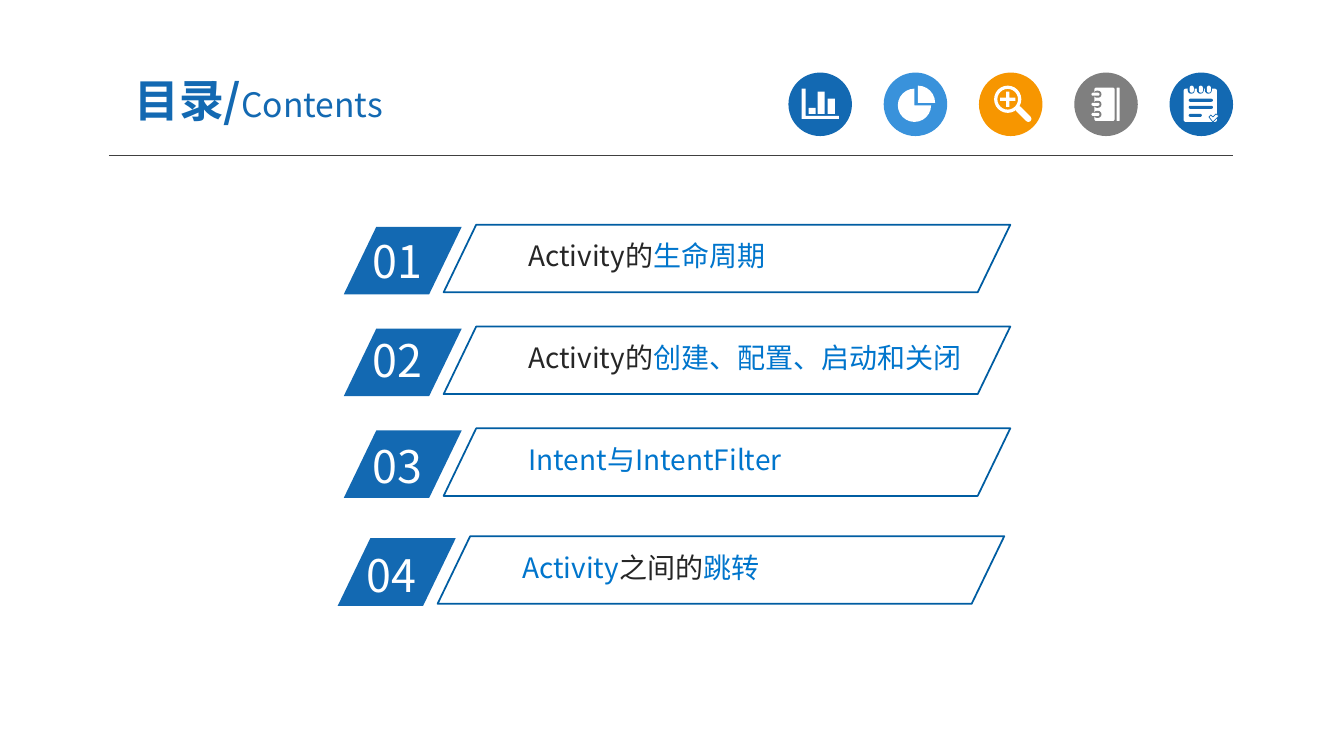
from lxml import etree
from pptx import Presentation
from pptx.dml.color import RGBColor
from pptx.enum import shapes, text
from pptx.oxml.ns import qn
from pptx.util import Inches, Pt

FONT = "Noto Sans CJK SC"
COLORS = {"blue": "1369B2", "sky": "3992DB", "orange": "F79600", "gray": "7F7F7F",
          "white": "FFFFFF", "rule": "404040", "frame": "005DA2",
          "dark": "262626", "accent": "0075CC"}
TITLE = [("目录/", 32, True), ("Contents", 24, False)]
ITEMS = [
    ("01", 3.41, 2.25, 0.02, 4.12, [("Activity的", "dark"), ("生命周期", "accent")]),
    ("02", 3.41, 3.26, -0.01, 4.57, [("Activity的", "dark"), ("创建、配置、启动和关闭", "accent")]),
    ("03", 3.41, 4.27, 0.03, 4.12, [("Intent与IntentFilter", "accent")]),
    ("04", 3.35, 5.34, 0.04, 4.12,
     [("Activity", "accent"), ("之间的", "dark"), ("跳转", "accent")]),
]
M = shapes.MSO_SHAPE
ROUND = M.ROUNDED_RECTANGLE
AXES = [(0.13, 0.16), (0.17, 0.16), (0.17, 0.43), (0.5, 0.43), (0.5, 0.46), (0.13, 0.46)]
BARS = [[(x, y), (x + 0.07, y), (x + 0.07, 0.41), (x, 0.41)]
        for x, y in ((0.2, 0.35), (0.29, 0.19), (0.39, 0.26))]
CHECK = [(0.39, 0.44), (0.41, 0.42), (0.43, 0.44), (0.46, 0.41), (0.49, 0.43), (0.43, 0.49)]
PIE_CHART = [(M.PIE, 0.14, 0.16, 0.33, 0.33, "white", [0, 162]),
             (M.PIE, 0.17, 0.13, 0.34, 0.34, "white", [162, 0])]
MAGNIFIER = [(M.DONUT, 0.15, 0.13, 0.27, 0.27, "white", [0.12]),
             (M.CROSS, 0.21, 0.19, 0.15, 0.15, "white", [0.4]),
             (ROUND, 0.34, 0.38, 0.2, 0.06, "white", [0.5])]
NOTEBOOK = [(ROUND, 0.2, 0.15, 0.2, 0.33, "white", [0.08]),
            (ROUND, 0.42, 0.15, 0.03, 0.33, "white", [0.2])]
for y in (0.21, 0.31, 0.41):
    NOTEBOOK += [(ROUND, 0.19, y - 0.03, 0.08, 0.07, "gray", [0.5]),
                 (ROUND, 0.17, y - 0.01, 0.08, 0.03, "white", [0.5])]
NOTEPAD = [(ROUND, 0.14, 0.16, 0.33, 0.33, "white", [0.06])]
for x in (0.22, 0.31, 0.39):
    NOTEPAD += [(ROUND, x - 0.04, 0.13, 0.07, 0.08, "blue", [0.5]),
                (ROUND, x - 0.02, 0.13, 0.04, 0.07, "white", [0.5])]
for y, w in ((0.26, 0.24), (0.33, 0.24), (0.41, 0.13)):
    NOTEPAD.append((ROUND, 0.19, y, w, 0.03, "blue", [0.5]))
ICONS = [("blue", [], [AXES] + BARS, None), ("sky", PIE_CHART, [], None),
         ("orange", MAGNIFIER, [], None), ("gray", NOTEBOOK, [], None),
         ("blue", NOTEPAD, [CHECK], "blue")]
ICON_LEFT, ICON_TOP, ICON_SIZE, ICON_STEP = 7.82, 0.72, 0.63, 0.945


def rgb(name):
    return RGBColor.from_string(COLORS[name])


def add_run(p, words, size, color, bold=False):
    r = p.add_run()
    r.text = words
    r.font.size = Pt(size)
    r.font.bold = bold
    r.font.name = FONT
    r.font.color.rgb = rgb(color)
    ea = etree.SubElement(r._r.get_or_add_rPr(), qn("a:ea"))
    ea.set("typeface", FONT)


def style(sp, fill, line, width=1.25):
    sp.shadow.inherit = False
    if fill:
        sp.fill.solid()
        sp.fill.fore_color.rgb = rgb(fill)
    else:
        sp.fill.background()
    if line:
        sp.line.color.rgb = rgb(line)
        sp.line.width = Pt(width)
    else:
        sp.line.fill.background()


def add_shape(parent, kind, box, fill=None, line=None, adj=()):
    sp = parent.shapes.add_shape(kind, *map(Inches, box))
    style(sp, fill, line)
    for i, value in enumerate(adj):
        sp.adjustments[i] = value
    return sp


def add_outline(parent, left, top, outlines, line):
    contours = [[(Inches(left + x), Inches(top + y)) for x, y in points] for points in outlines]
    builder = parent.shapes.build_freeform(*contours[0][0])
    for i, points in enumerate(contours):
        if i:
            builder.move_to(*points[0])
        builder.add_line_segments(points[1:], close=True)
    style(builder.convert_to_shape(), "white", line, 0.5)


def add_text(s, box, runs, size, inset):
    tf = s.shapes.add_textbox(*map(Inches, box)).text_frame
    tf.word_wrap = True
    tf.margin_left = tf.margin_right = Inches(inset[0])
    tf.margin_top = tf.margin_bottom = Inches(inset[1])
    for words, color in runs:
        add_run(tf.paragraphs[0], words, size, color)


def add_title(s):
    title = s.shapes.title
    title.left, title.top, title.width, title.height = map(Inches, (0.92, 0.63, 3.29, 0.72))
    tf = title.text_frame
    tf.auto_size = text.MSO_AUTO_SIZE.NONE
    tf.vertical_anchor = text.MSO_ANCHOR.MIDDLE
    tf.margin_left = tf.margin_right = Inches(0.13)
    tf.margin_top = tf.margin_bottom = Inches(0.07)
    tf.paragraphs[0].alignment = text.PP_ALIGN.CENTER
    for words, size, bold in TITLE:
        add_run(tf.paragraphs[0], words, size, "blue", bold)


def add_icons(s):
    for i, (color, parts, outlines, line) in enumerate(ICONS):
        left = ICON_LEFT + i * ICON_STEP
        icon = s.shapes.add_group_shape()
        add_shape(icon, M.OVAL, (left, ICON_TOP, ICON_SIZE, ICON_SIZE), color)
        for kind, x, y, w, h, fill, adj in parts:
            sp = add_shape(icon, kind, (left + x, ICON_TOP + y, w, h), fill, adj=adj)
            if parts is MAGNIFIER and kind == ROUND:
                sp.rotation = 45
        if outlines:
            add_outline(icon, left, ICON_TOP, outlines, line)


def add_items(s):
    for number, x, y, shift, width, runs in ITEMS:
        add_shape(s, M.PARALLELOGRAM, (x, y, 1.17, 0.67), "blue", adj=[0.482])
        add_text(s, (x + 0.19, y + shift, 1.12, 0.64), [(number, "white")], 32, (0.1, 0.05))
        add_text(s, (x + 1.76, y + 0.08, width, 0.41), runs, 20, (0.07, 0.04))
        add_shape(s, M.PARALLELOGRAM, (x + 0.99, y - 0.02, 5.62, 0.67),
                  line="frame", adj=[0.482])


def main():
    prs = Presentation()
    prs.slide_width, prs.slide_height = Inches(13.33), Inches(7.5)
    s = prs.slides.add_slide(prs.slide_layouts[5])
    rule = s.shapes.add_connector(shapes.MSO_CONNECTOR.STRAIGHT, Inches(1.08), Inches(1.54),
                                  Inches(12.23), Inches(1.54))
    rule.line.color.rgb = rgb("rule")
    rule.line.width = Pt(0.75)
    etree.SubElement(rule._element.spPr, qn("a:effectLst"))
    add_icons(s)
    add_title(s)
    add_items(s)
    prs.save("out.pptx")


if __name__ == "__main__":
    main()
